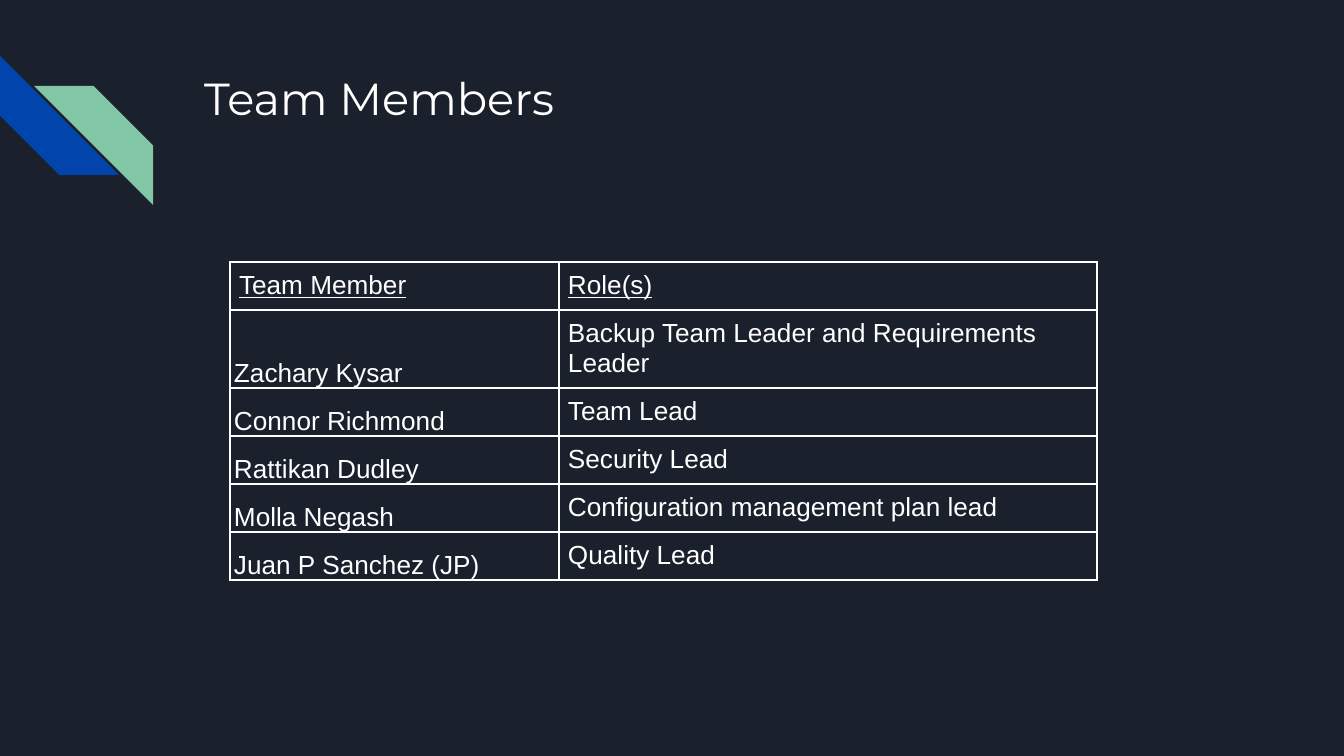
from dataclasses import dataclass

from lxml.etree import SubElement
from pptx import Presentation
from pptx.dml.color import RGBColor
from pptx.enum.shapes import MSO_SHAPE
from pptx.enum.text import MSO_ANCHOR, PP_ALIGN
from pptx.oxml.ns import qn
from pptx.util import Emu, Pt

COLOURS = {"night": "1B212C", "blue": "0145AC", "green": "82C7A5", "white": "FFFFFF"}
EMU_PER_PIXEL = 914400 / 134.4


@dataclass
class Stripe:
    left: int
    top: int
    size: int
    rotation: int
    colour: str


@dataclass
class CellStyle:
    anchor: MSO_ANCHOR
    side_margin: int
    end_margin: int
    underline: bool = False


STRIPES = [
    Stripe(0, 56, 119, 270, "blue"),
    Stripe(34, 86, 119, 90, "green"),
]
HEADING = CellStyle(MSO_ANCHOR.TOP, 9, 9, underline=True)
MEMBER = CellStyle(MSO_ANCHOR.BOTTOM, 4, 0)
ROLE = CellStyle(MSO_ANCHOR.TOP, 9, 9)

TEAM = [
    ("Team Member", "Role(s)"),
    ("Zachary Kysar", "Backup Team Leader and Requirements Leader"),
    ("Connor Richmond", "Team Lead"),
    ("Rattikan Dudley", "Security Lead"),
    ("Molla Negash", "Configuration management plan lead"),
    ("Juan P Sanchez (JP)", "Quality Lead"),
]
COLUMN_WIDTHS = [329, 538]
ROW_HEIGHTS = [48, 78, 48, 48, 48, 48]


def px(pixels: int) -> Emu:
    return Emu(round(pixels * EMU_PER_PIXEL))


def colour(name: str) -> RGBColor:
    return RGBColor.from_string(COLOURS[name])


def set_all(target, values: dict) -> None:
    for name, value in values.items():
        setattr(target, name, value)


def write(frame, text: str, font: dict) -> None:
    para = frame.paragraphs[0]
    para.alignment = PP_ALIGN.LEFT
    span = para.add_run()
    span.text = text
    set_all(span.font, font)
    span.font.color.rgb = colour("white")


def draw_stripe(page, stripe: Stripe) -> None:
    shape = page.shapes.add_shape(
        MSO_SHAPE.DIAGONAL_STRIPE,
        px(stripe.left), px(stripe.top), px(stripe.size), px(stripe.size))
    shape.adjustments[0] = 0.5
    shape.rotation = stripe.rotation
    shape.shadow.inherit = False
    shape.fill.solid()
    shape.fill.fore_color.rgb = colour(stripe.colour)
    shape.line.fill.background()


def add_borders(cell) -> None:
    properties = cell._tc.get_or_add_tcPr()
    for side in ("lnL", "lnR", "lnT", "lnB"):
        line = SubElement(properties, qn(f"a:{side}"), w=str(Pt(1)))
        fill = SubElement(line, qn("a:solidFill"))
        SubElement(fill, qn("a:srgbClr"), val=COLOURS["white"])


def fill_cell(cell, text: str, style: CellStyle) -> None:
    add_borders(cell)
    cell.fill.background()
    set_all(cell, {
        "vertical_anchor": style.anchor,
        "margin_left": px(style.side_margin),
        "margin_right": px(style.side_margin),
        "margin_top": px(style.end_margin),
        "margin_bottom": px(style.end_margin),
    })
    write(cell.text_frame, text, {
        "name": "Arial", "size": Pt(14), "bold": False, "underline": style.underline})


# Slide and background
deck = Presentation()
set_all(deck, {"slide_width": px(1344), "slide_height": px(756)})
page = deck.slides.add_slide(deck.slide_layouts[5])
page.background.fill.solid()
page.background.fill.fore_color.rgb = colour("night")

# Corner stripes
for stripe in STRIPES:
    draw_stripe(page, stripe)

# Title
title = page.shapes.title
set_all(title, {"left": px(191), "top": px(58), "width": px(1035), "height": px(134)})
set_all(title.text_frame, {
    "word_wrap": True, "vertical_anchor": MSO_ANCHOR.TOP,
    "margin_left": px(13), "margin_right": px(13),
    "margin_top": px(13), "margin_bottom": px(13)})
write(title.text_frame, "Team Members", {"name": "Montserrat", "size": Pt(24)})

# Table of members and roles
table = page.shapes.add_table(
    len(TEAM), len(COLUMN_WIDTHS), px(230), px(262),
    px(sum(COLUMN_WIDTHS)), px(sum(ROW_HEIGHTS))).table
set_all(table, {"first_row": False, "horz_banding": False})
for column, width in zip(table.columns, COLUMN_WIDTHS):
    column.width = px(width)
for row, height in zip(table.rows, ROW_HEIGHTS):
    row.height = px(height)
for row_index, texts in enumerate(TEAM):
    styles = (MEMBER, ROLE) if row_index else (HEADING, HEADING)
    for column_index, (text, style) in enumerate(zip(texts, styles)):
        fill_cell(table.cell(row_index, column_index), text, style)

deck.save("out.pptx")
